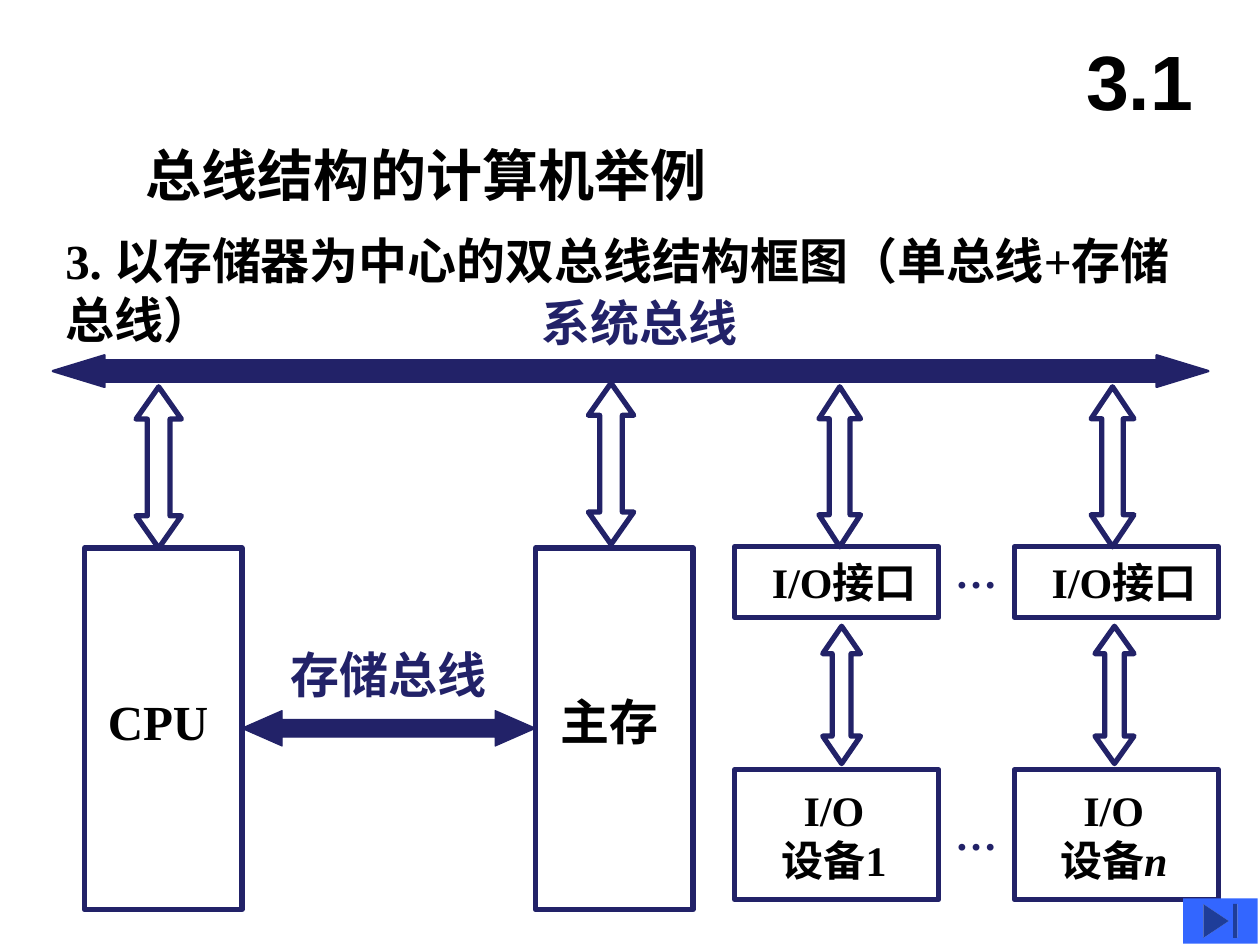
"""Build the slide on a memory-centred dual-bus computer structure."""
import lxml.etree
import pptx
import pptx.dml.color
import pptx.enum.shapes
import pptx.enum.text
import pptx.oxml.ns
import pptx.util

Inches = pptx.util.Inches
SHAPES = pptx.enum.shapes.MSO_SHAPE
ALIGN = pptx.enum.text.PP_ALIGN
ANCHOR = pptx.enum.text.MSO_ANCHOR

COLORS = {"ink": "000000", "bus": "222268", "button": "3366FF"}
SERIF, SANS, HAN = "Times New Roman", "Arial", "Noto Sans CJK SC"
PADDED, BARE = (0.1, 0.05, 0.1, 0.05), (0, 0, 0, 0)

IO_COLUMNS = [(5.83, "1", False), (8.05, "n", True)]
IO_WIDTH, PORT_TOP, DEVICE_TOP = 1.62, 4.34, 6.11
UNITS = [(0.67, "CPU"), (4.25, "主存")]
VERTICAL_ARROWS = [
    (1.08, 3.07, 0.36, 1.28), (4.67, 3.04, 0.36, 1.28),
    (6.5, 3.07, 0.33, 1.27), (8.66, 3.07, 0.34, 1.27),
    (6.53, 4.97, 0.3, 1.09), (8.69, 4.97, 0.31, 1.09),
]
SYSTEM_BUS = (0.42, 2.82, 9.17, 0.25)
STORAGE_BUS = (1.92, 5.64, 2.33, 0.28)
LABELS = [
    ((1.06, 1.07, 6.95, 0.64), "总线结构的计算机举例", 32, SANS, "ink", PADDED, {}),
    ((0.42, 1.78, 9.17, 1.04), "3. 以存储器为中心的双总线结构框图（单总线+存储总线）",
     28, SERIF, "ink", PADDED, {}),
    ((4.3, 2.32, 2.53, 0.47), "系统总线", 28, HAN, "bus", BARE, {}),
    ((2.21, 5.07, 1.75, 0.57), "存储总线", 28, SERIF, "bus", PADDED, {"word_wrap": False}),
    ((7.58, 4.34, 0.33, 0.4), "…", 24, SERIF, "bus", BARE, {"word_wrap": False}),
    ((7.58, 6.42, 0.33, 0.4), "…", 24, SERIF, "bus", BARE, {"word_wrap": False}),
    ((8.42, 0.17, 1.25, 0.92), "3.1", 44, SANS, "ink", PADDED,
     {"vertical_anchor": ANCHOR.MIDDLE, "align": ALIGN.CENTER}),
]


def rgb(name):
    return pptx.dml.color.RGBColor.from_string(COLORS[name])


def style_shape(shape, fill=None, line=None, width=3):
    shape.shadow.inherit = False
    if fill:
        shape.fill.solid()
        shape.fill.fore_color.rgb = rgb(fill)
    else:
        shape.fill.background()
    if line:
        shape.line.color.rgb = rgb(line)
        shape.line.width = pptx.util.Pt(width)
    else:
        shape.line.fill.background()


def write(shape, lines, size, face, color, insets, align=ALIGN.LEFT, **layout):
    frame = shape.text_frame
    margins = zip(("left", "top", "right", "bottom"), insets)
    settings = {"word_wrap": True, "vertical_anchor": ANCHOR.TOP, **layout}
    settings.update({f"margin_{side}": Inches(gap) for side, gap in margins})
    for name, value in settings.items():
        setattr(frame, name, value)
    for index, spans in enumerate(lines):
        para = frame.add_paragraph() if index else frame.paragraphs[0]
        para.alignment = align
        for text, italic in spans:
            span = para.add_run()
            span.text = text
            span.font.color.rgb = rgb(color)
            values = {"size": pptx.util.Pt(size), "name": face, "bold": True}
            if italic:
                values["italic"] = True
            for name, value in values.items():
                setattr(span.font, name, value)
            east_asian = pptx.oxml.ns.qn("a:ea")
            lxml.etree.SubElement(span.font._element, east_asian).set("typeface", HAN)


def add_block(page, place, lines, size, insets):
    block = page.shapes.add_shape(SHAPES.RECTANGLE, *map(Inches, place))
    style_shape(block, line="bus")
    write(block, lines, size, SERIF, "ink", insets, ALIGN.CENTER,
          vertical_anchor=ANCHOR.MIDDLE)


def add_double_arrow(page, place, head, shaft, vertical, fill=None, width=3):
    left, top, wide, high = place
    length, span = (high, wide) if vertical else (wide, high)
    middle, half = span / 2, span * shaft / 2
    side = [(0, middle), (head, span), (head, middle + half),
            (length - head, middle + half), (length - head, span), (length, middle)]
    outline = side + [(along, span - across) for along, across in side[-2:0:-1]]
    points = [(left + across, top + along) if vertical else (left + along, top + across)
              for along, across in outline]
    points = [(Inches(x), Inches(y)) for x, y in points]
    builder = page.shapes.build_freeform(*points[0])
    builder.add_line_segments(points[1:], close=True)
    arrow = builder.convert_to_shape()
    style_shape(arrow, fill, "bus", width)
    lxml.etree.SubElement(arrow.line._ln, pptx.oxml.ns.qn("a:round"))


def main():
    deck = pptx.Presentation()
    deck.slide_width, deck.slide_height = Inches(10), Inches(7.5)
    page = deck.slides.add_slide(deck.slide_layouts[6])

    for place, text, size, face, color, insets, layout in LABELS:
        box = page.shapes.add_textbox(*map(Inches, place))
        write(box, [[(text, False)]], size, face, color, insets, **layout)

    add_double_arrow(page, SYSTEM_BUS, 0.41, 0.68, False, "bus", 1.39)
    for left, name in UNITS:
        add_block(page, (left, 4.35, 1.25, 2.87), [[(name, False)]], 28,
                  (0.1, 0.05, 0.18, 0.17))
    for left, number, italic in IO_COLUMNS:
        add_block(page, (left, PORT_TOP, IO_WIDTH, 0.56), [[("I/O接口", False)]], 24,
                  (0.22, 0.05, 0.1, 0.05))
        add_block(page, (left, DEVICE_TOP, IO_WIDTH, 1.03),
                  [[("I/O", False)], [("设备", False), (number, italic)]], 24,
                  (0.1, 0.05, 0.14, 0.05))
    for place in VERTICAL_ARROWS:
        add_double_arrow(page, place, place[3] * 0.2, 0.5, True)

    storage = page.shapes.add_shape(SHAPES.LEFT_RIGHT_ARROW, *map(Inches, STORAGE_BUS))
    storage.adjustments[0], storage.adjustments[1] = 0.5, 1.14
    style_shape(storage, "bus", "bus", 0.75)

    button = page.shapes.add_shape(SHAPES.ACTION_BUTTON_END,
                                   *map(Inches, (9.39, 7.13, 0.59, 0.36)))
    style_shape(button, "button")
    deck.save("out.pptx")


if __name__ == "__main__":
    main()
